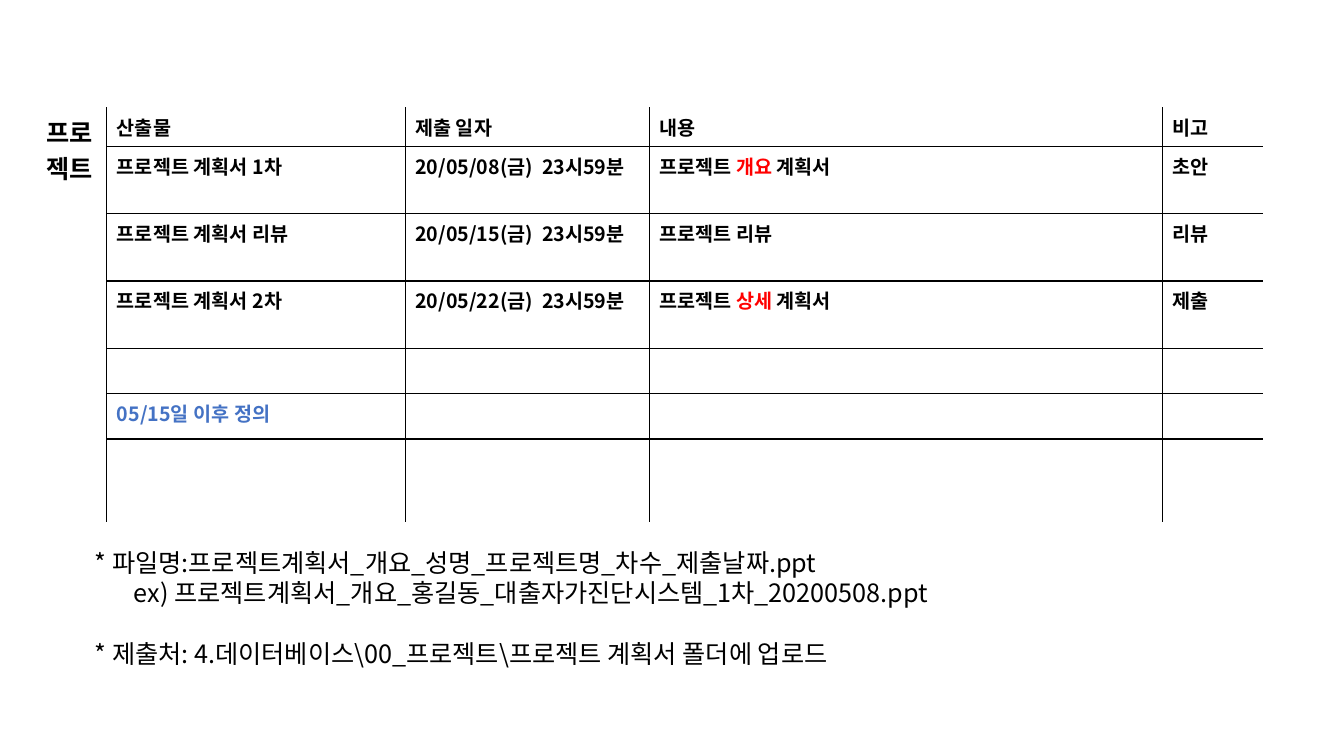
"""Build a slide with a project submission schedule and file naming notes."""
from lxml import etree
from pptx import Presentation
from pptx.dml.color import RGBColor
from pptx.oxml.ns import qn
from pptx.util import Inches, Pt

FONT = "Noto Sans CJK KR"
BLACK = RGBColor(0x00, 0x00, 0x00)
WHITE = RGBColor(0xFF, 0xFF, 0xFF)
RED = RGBColor(0xFF, 0x00, 0x00)
BLUE = RGBColor(0x44, 0x72, 0xC4)


def add_run(p, text, size, color=BLACK, bold=False):
    r = p.add_run()
    r.text = text
    r.font.name = FONT
    r.font.size = Pt(size)
    r.font.bold = bold
    r.font.color.rgb = color
    etree.SubElement(r.font._element, qn("a:ea"), typeface=FONT)


def add_border(cell, side, color):
    tc_pr = cell._tc.get_or_add_tcPr()
    ln = etree.SubElement(tc_pr, qn(f"a:ln{side}"), w=str(Pt(1)))
    fill = etree.SubElement(ln, qn("a:solidFill"))
    etree.SubElement(fill, qn("a:srgbClr"), val=str(color))


prs = Presentation()
prs.slide_width = Inches(13.33)
prs.slide_height = Inches(7.5)
s = prs.slides.add_slide(prs.slide_layouts[6])

col_widths = [0.7, 2.96, 2.42, 5.09, 0.99]
row_heights = [0.35, 0.49] + [0.45] * 5
schedule = [
    ["산출물", "제출 일자", [("내용", BLACK)], "비고"],
    ["프로젝트 계획서 1차", "20/05/08(금)  23시59분",
     [("프로젝트 ", BLACK), ("개요 ", RED), ("계획서", BLACK)], "초안"],
    ["프로젝트 계획서 리뷰", "20/05/15(금)  23시59분", "프로젝트 리뷰", "리뷰"],
    ["프로젝트 계획서 2차", "20/05/22(금)  23시59분",
     [("프로젝트 ", BLACK), ("상세", RED), (" 계획서", BLACK)], "제출"],
    [],
    [[("05/15일 이후 정의", BLUE)]],
    [],
]
last_row, last_col = len(row_heights) - 1, len(col_widths) - 1

table = s.shapes.add_table(
    len(row_heights), len(col_widths), Inches(0.36), Inches(1.07),
    Inches(sum(col_widths)), Inches(sum(row_heights))).table
table.first_row = False
table.horz_banding = False
for column, width in zip(table.columns, col_widths):
    column.width = Inches(width)
for row, height in zip(table.rows, row_heights):
    row.height = Inches(height)

for i in range(last_row + 1):
    for j in range(last_col + 1):
        cell = table.cell(i, j)
        add_border(cell, "L", WHITE if j == 0 else BLACK)
        add_border(cell, "R", WHITE if j == last_col else BLACK)
        add_border(cell, "T", WHITE if i == 0 or j == 0 else BLACK)
        add_border(cell, "B", WHITE if i == last_row or j == 0 else BLACK)
        cell.fill.background()

for i, texts in enumerate(schedule):
    for j, text in enumerate(texts, 1):
        parts = [(text, BLACK)] if isinstance(text, str) else text
        p = table.cell(i, j).text_frame.paragraphs[0]
        for part, color in parts:
            add_run(p, part, 14, color, True)

project = table.cell(0, 0)
project.merge(table.cell(last_row, 0))
add_run(project.text_frame.paragraphs[0], "프로젝트", 18, BLACK, True)

notes = [
    ("* 파일명:프로젝트계획서_개요_성명_프로젝트명_차수_제출날짜.ppt", 0, 0),
    ("ex) 프로젝트계획서_개요_홍길동_대출자가진단시스템_1차_20200508.ppt", 0.39, 0),
    ("* 제출처: 4.데이터베이스\\00_프로젝트\\프로젝트 계획서 폴더에 업로드", 0, 21.5),
]
tf = s.shapes.add_textbox(Inches(0.84), Inches(5.38), Inches(9.03), Inches(1.62)).text_frame
tf.word_wrap = True
for k, (text, indent, gap) in enumerate(notes):
    p = tf.add_paragraph() if k else tf.paragraphs[0]
    p.space_before = Pt(gap)
    p._p.get_or_add_pPr().set("indent", str(Inches(indent)))
    add_run(p, text, 18)

prs.save("out.pptx")
